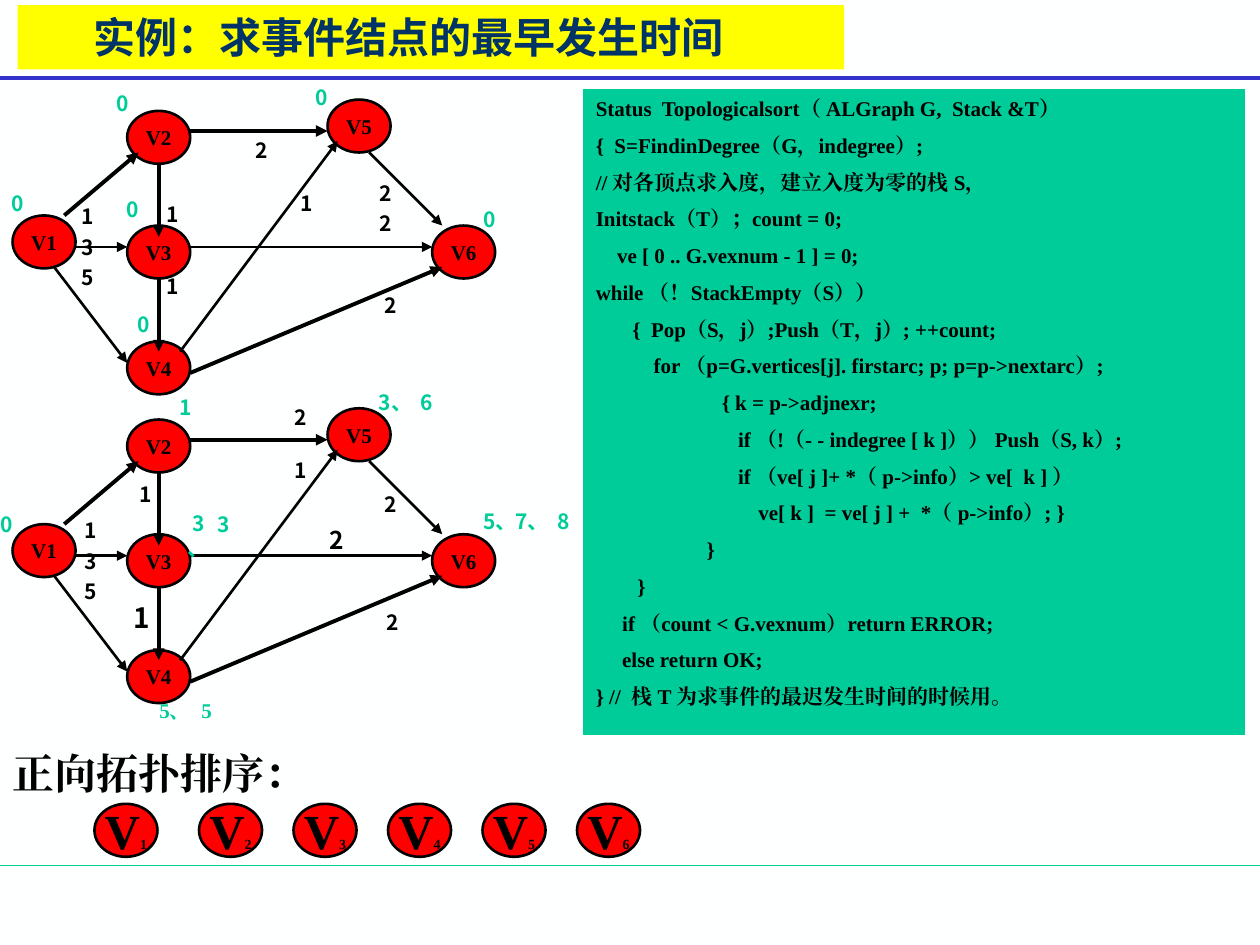
from lxml import etree
from pptx import Presentation
from pptx.dml.color import RGBColor
from pptx.enum.shapes import MSO_CONNECTOR, MSO_SHAPE
from pptx.enum.text import MSO_ANCHOR, PP_ALIGN
from pptx.oxml.ns import qn
from pptx.util import Inches, Pt

STRAIGHT = MSO_CONNECTOR.STRAIGHT
RECTANGLE, OVAL = MSO_SHAPE.RECTANGLE, MSO_SHAPE.OVAL
TOP, MIDDLE = MSO_ANCHOR.TOP, MSO_ANCHOR.MIDDLE
LEFT, CENTER = PP_ALIGN.LEFT, PP_ALIGN.CENTER

BLACK = RGBColor(0x00, 0x00, 0x00)
RED = RGBColor(0xFF, 0x00, 0x00)
YELLOW = RGBColor(0xFF, 0xFF, 0x00)
GREEN = RGBColor(0x00, 0xCC, 0x99)
BLUE = RGBColor(0x33, 0x33, 0xCC)
NAVY = RGBColor(0x00, 0x33, 0x66)
PAPER = RGBColor(0xFE, 0xFF, 0xFF)
SANS, SERIF = "Noto Sans CJK SC", "Times New Roman"

GRAPH_STEP = 2.45
NODE_W, NODE_H = 0.5, 0.42
NODES = [("V1", 0.1, 1.71), ("V2", 1.01, 0.88), ("V3", 1.01, 1.79),
         ("V4", 1.01, 2.71), ("V5", 2.6, 0.79), ("V6", 3.43, 1.79)]
THIN, THICK = 1.5, 2.25
EDGES = [
    (0.51, 1.71, 1.1, 1.21, THICK),
    (0.6, 1.96, 1.01, 1.96, THIN),
    (0.43, 2.12, 1.01, 2.88, THIN),
    (1.26, 1.29, 1.26, 1.88, THICK),
    (1.26, 2.21, 1.26, 2.79, THICK),
    (1.51, 1.04, 2.6, 1.04, THICK),
    (1.51, 1.96, 3.43, 1.96, THIN),
    (1.43, 2.79, 2.68, 1.12, THIN),
    (1.51, 2.96, 3.51, 2.12, THICK),
    (2.93, 1.21, 3.51, 1.79, THIN),
]
WEIGHTS = [
    ("1\n3\n5", 0.41, 1.57), ("1", 1.08, 1.55), ("1", 1.08, 2.12),
    ("2\n2", 2.77, 1.38), ("2", 1.79, 1.04), ("2", 2.81, 2.27),
    ("1", 2.14, 1.46), ("1\n3\n5", 0.43, 4.06), ("1", 0.87, 3.77),
    ("2", 2.81, 3.85), ("2", 2.1, 3.16), ("2", 2.83, 4.79), ("1", 2.1, 3.58),
]
TIMES = [
    ("0", -0.15, 1.46), ("0", 0.68, 0.67), ("0", 0.76, 1.51),
    ("0", 0.85, 2.42), ("0", 2.26, 0.62), ("0", 3.6, 1.59),
    ("0", -0.24, 4.01), ("1", 1.18, 3.08), ("3、", 2.85, 3.04),
    ("6", 3.1, 3.04), ("5、", 3.68, 3.99), ("7、", 3.93, 3.99),
    ("8", 4.18, 3.99),
]
CODE = [
    (0, "Status  Topologicalsort（ ALGraph G,  Stack &T）"),
    (0, "{  S=FindinDegree（G，indegree）;"),
    (0, "// 对各顶点求入度，建立入度为零的栈 S，"),
    (0, "Initstack（T）；count = 0;"),
    (0.17, "ve [ 0 .. G.vexnum - 1 ] = 0;"),
    (0, "while （！StackEmpty（S））"),
    (0.29, "{  Pop（S，j）;Push（T，j）; ++count;"),
    (0.46, "for （p=G.vertices[j]. firstarc; p; p=p->nextarc）;"),
    (1, "{ k = p->adjnexr;"),
    (1.13, "if （!（- - indegree [ k ]）） Push（S, k）;"),
    (1.13, "if （ve[ j ]+ *（ p->info）> ve[  k ] ）"),
    (1.29, "ve[ k ]  = ve[ j ] +  *（ p->info）; }"),
    (0.88, "}"),
    (0.33, "}"),
    (0.21, "if （count < G.vexnum）return ERROR;"),
    (0.21, "else return OK;"),
    (0, "} //  栈 T 为求事件的最迟发生时间的时候用。"),
]


def set_font(p, size, name, color, align=LEFT):
    """Format a paragraph with one bold typeface for all scripts."""
    p.alignment = align
    p.font.size, p.font.name, p.font.bold = Pt(size), name, True
    p.font.color.rgb = color
    defaults = p._p.get_or_add_pPr().get_or_add_defRPr()
    etree.SubElement(defaults, qn("a:ea")).set("typeface", name)


def add_line(s, x1, y1, x2, y2, color, width, arrow=False):
    """Draw a straight line, with an arrowhead at its end if asked."""
    line = s.shapes.add_connector(STRAIGHT, *map(Inches, (x1, y1, x2, y2)))
    line.line.color.rgb = color
    line.line.width = Pt(width)
    if arrow:
        etree.SubElement(line.line._get_or_add_ln(), qn("a:tailEnd")).set("type", "triangle")
    etree.SubElement(line._element.spPr, qn("a:effectLst"))


def add_box(s, kind, box, fill, outline, width):
    """Draw a filled, outlined preset shape without a shadow."""
    sp = s.shapes.add_shape(kind, *map(Inches, box))
    sp.shadow.inherit = False
    sp.fill.solid()
    sp.fill.fore_color.rgb = fill
    sp.line.color.rgb = outline
    sp.line.width = Pt(width)
    return sp


def add_node(s, x, y, name, size=12, subscript=None):
    """Draw a vertex with its name and an optional small index."""
    sp = add_box(s, OVAL, (x, y, NODE_W, NODE_H), RED, BLACK, 1.5)
    tf = sp.text_frame
    tf.word_wrap = False
    tf.vertical_anchor = MIDDLE
    p = tf.paragraphs[0]
    p.add_run().text = name
    set_font(p, size, SERIF, BLACK, CENTER)
    if subscript:
        r = p.add_run()
        r.text = subscript
        r.font.size = Pt(8)


def add_label(s, text, x, y, color=BLACK, w=0.58, size=12, font=SANS, align=CENTER):
    """Add a text box with one paragraph for each line of text."""
    lines = text.split("\n")
    h = 0.3 * len(lines) * size / 12
    tf = s.shapes.add_textbox(*map(Inches, (x, y, w, h))).text_frame
    tf.word_wrap = True
    for i, line in enumerate(lines):
        p = tf.add_paragraph() if i else tf.paragraphs[0]
        p.text = line
        p.space_before = Pt(3 if i else 0)
        set_font(p, size, font, color, align)


def add_title(s, text):
    """Place the title on its yellow band."""
    sp = s.shapes.title
    sp.left, sp.top, sp.width, sp.height = map(Inches, (0.14, 0.04, 6.56, 0.51))
    sp.fill.solid()
    sp.fill.fore_color.rgb = YELLOW
    tf = sp.text_frame
    tf.text = text
    tf.margin_left = Inches(0.6)
    tf.vertical_anchor = MIDDLE
    set_font(tf.paragraphs[0], 24, SANS, NAVY)


def add_graph(s, dy):
    """Draw the activity network shifted down by dy inches."""
    for name, x, y in NODES:
        add_node(s, x, y + dy, name)
    for x1, y1, x2, y2, width in EDGES:
        add_line(s, x1, y1 + dy, x2, y2 + dy, BLACK, width, arrow=True)


def add_code(s):
    """Write the algorithm on its green panel."""
    sp = add_box(s, RECTANGLE, (4.63, 0.71, 5.25, 5.12), GREEN, GREEN, 0.75)
    tf = sp.text_frame
    tf.word_wrap = True
    tf.vertical_anchor = TOP
    for i, (indent, text) in enumerate(CODE):
        p = tf.add_paragraph() if i else tf.paragraphs[0]
        p.text = text
        p.space_before = Pt(6.6 if i else 0)
        set_font(p, 12, SERIF, BLACK)
        p._p.get_or_add_pPr().set("marL", str(Inches(indent)))


def main():
    """Build the slide on earliest event times."""
    prs = Presentation()
    prs.slide_width, prs.slide_height = Inches(10), Inches(7.5)
    s = prs.slides.add_slide(prs.slide_layouts[5])
    s.background.fill.solid()
    s.background.fill.fore_color.rgb = PAPER
    add_line(s, 0, 6.87, 10, 6.87, GREEN, 0.75)
    add_line(s, 0, 0.62, 10, 0.62, BLUE, 2.25)
    add_title(s, "实例：求事件结点的最早发生时间")
    for dy in (0, GRAPH_STEP):
        add_graph(s, dy)
    for color, labels in ((BLACK, WEIGHTS), (GREEN, TIMES)):
        for text, x, y in labels:
            add_label(s, text, x, y, color)
    add_label(s, "3、", 1.35, 4, GREEN, w=0.45)
    add_label(s, "3", 1.59, 4.01, GREEN, w=0.37)
    add_label(s, "5、", 1.1, 5.49, GREEN, font=SERIF)
    add_label(s, "5", 1.35, 5.49, GREEN, font=SERIF)
    add_label(s, "1", 0.96, 4.72, w=0.32, size=16)
    add_label(s, "2", 2.34, 4.12, w=0.67, size=14)
    add_label(s, "正向拓扑排序：", 0, 5.88, w=4.25, size=24, font=SERIF, align=LEFT)
    for i, x in enumerate((0.75, 1.58, 2.33, 3.08, 3.83, 4.58), 1):
        add_node(s, x, 6.38, "V", 28, str(i))
    add_code(s)
    prs.save("out.pptx")


if __name__ == "__main__":
    main()
